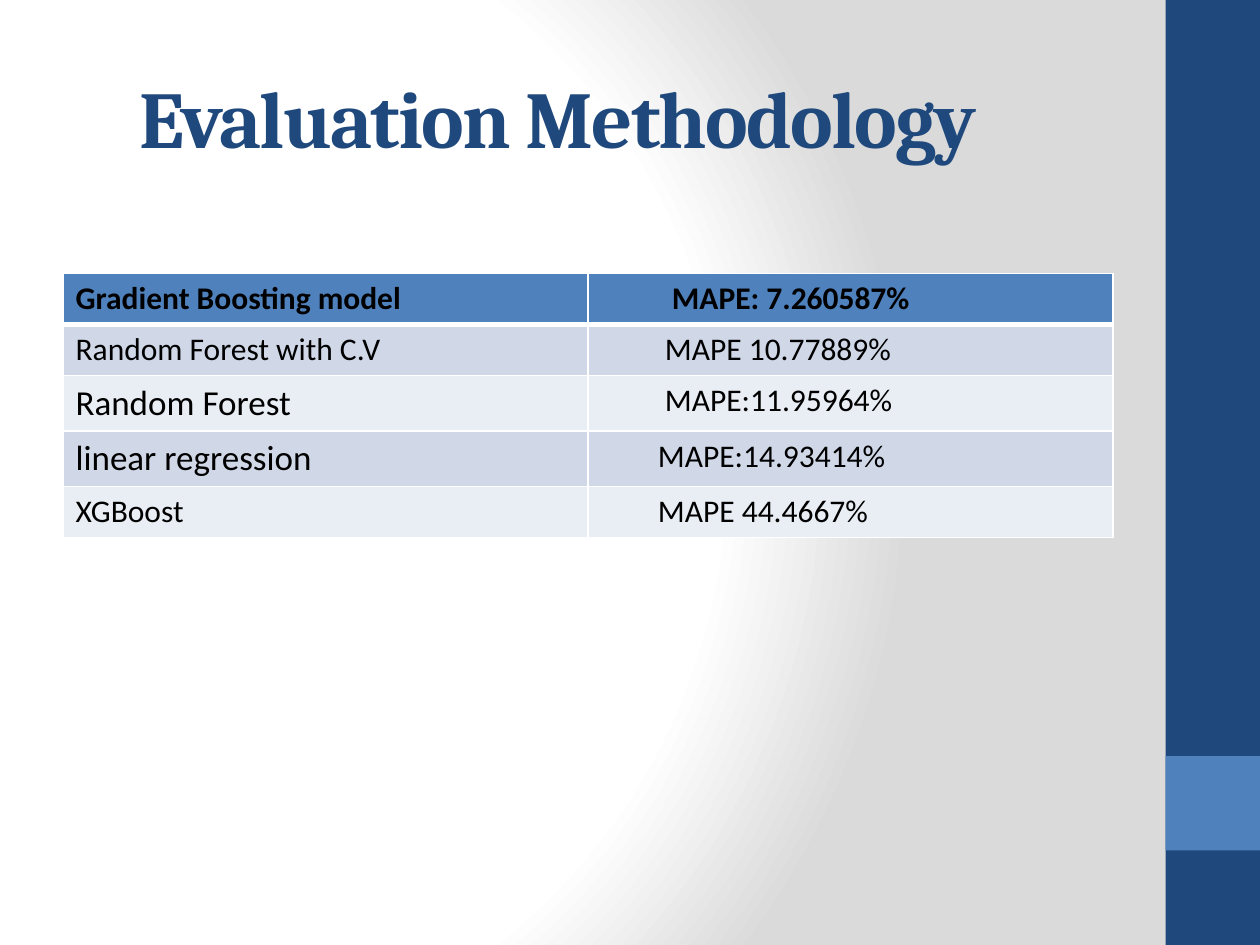
"""Build the Evaluation Methodology slide with its MAPE comparison table."""
from pptx import Presentation
from pptx.dml.color import RGBColor
from pptx.enum import shapes, text
from pptx.oxml import parse_xml
from pptx.oxml.ns import nsdecls, qn
from pptx.util import Pt

NAVY = RGBColor(0x1F, 0x49, 0x7D)
BLUE = RGBColor(0x4F, 0x81, 0xBD)
BAND_DARK = RGBColor(0xD0, 0xD8, 0xE8)
BAND_LIGHT = RGBColor(0xE9, 0xED, 0xF4)
BLACK = RGBColor(0, 0, 0)
WHITE = RGBColor(0xFF, 0xFF, 0xFF)
GREY = RGBColor(0xDA, 0xDA, 0xDA)


def add_border(cell, side, width):
    cell._tc.get_or_add_tcPr().append(parse_xml(
        f'<a:{side} {nsdecls("a")} w="{Pt(width)}"><a:solidFill>'
        f'<a:srgbClr val="{WHITE}"/></a:solidFill></a:{side}>'))


def add_run(paragraph, words, font_name, size, color, bold):
    run = paragraph.add_run()
    run.text = words
    run.font.name = font_name
    run.font.size = Pt(size)
    run.font.color.rgb = color
    run.font.bold = bold
    return run


prs = Presentation()
prs.slide_width, prs.slide_height = Pt(720), Pt(540)
slide = prs.slides.add_slide(prs.slide_layouts[5])

slide.background.fill.solid()
plain_fill = slide.element.find(".//" + qn("a:solidFill"))
stops = "".join(
    f'<a:gs pos="{position * 1000}"><a:srgbClr val="{color}"/></a:gs>'
    for position, color in [(0, WHITE), (75, WHITE), (100, GREY)])
plain_fill.getparent().replace(plain_fill, parse_xml(
    f'<a:gradFill {nsdecls("a")} rotWithShape="1"><a:gsLst>{stops}</a:gsLst>'
    '<a:path path="circle"><a:fillToRect l="20000" t="50000" r="100000" b="50000"/>'
    '</a:path></a:gradFill>'))

for top, height, color in [(0, 540, NAVY), (432, 54, BLUE)]:
    side_bar = slide.shapes.add_shape(
        shapes.MSO_SHAPE.RECTANGLE, Pt(666), Pt(top), Pt(54), Pt(height))
    side_bar.fill.solid()
    side_bar.fill.fore_color.rgb = color
    side_bar.line.fill.background()
    side_bar.shadow.inherit = False

heading = slide.shapes.title
heading.left, heading.top, heading.width, heading.height = Pt(36), Pt(21.6), Pt(600), Pt(90)
heading_frame = heading.text_frame
heading_frame.auto_size = text.MSO_AUTO_SIZE.NONE
heading_frame.vertical_anchor = text.MSO_ANCHOR.MIDDLE
heading_frame.margin_left = Pt(43.7)
heading_line = heading_frame.paragraphs[0]
heading_line.alignment = text.PP_ALIGN.LEFT
heading_run = add_run(heading_line, "Evaluation Methodology", "Cambria", 46, NAVY, True)
heading_run.font._element.set("spc", "-100")

scores = [
    ("Gradient Boosting model", 18, "MAPE: 7.260587%", 48),
    ("Random Forest with C.V", 18, "MAPE 10.77889%", 44),
    ("Random Forest", 20, "MAPE:11.95964%", 44),
    ("linear regression", 20, "MAPE:14.93414%", 40),
    ("XGBoost", 18, "MAPE 44.4667%", 40),
]
score_table = slide.shapes.add_table(
    len(scores), 2, Pt(36), Pt(156.2), Pt(600), Pt(29.2 * len(scores))).table
for row, (model, model_size, mape, indent) in enumerate(scores):
    is_best = row == 0
    band = BLUE if is_best else (BAND_LIGHT, BAND_DARK)[row % 2]
    for column, (words, size, margin) in enumerate(
            [(model, model_size, 7.2), (mape, 18, indent)]):
        cell = score_table.cell(row, column)
        cell.margin_left = Pt(margin)
        add_run(cell.text_frame.paragraphs[0], words, "Calibri", size, BLACK, is_best)
        for side in ("lnL", "lnR", "lnT", "lnB"):
            heavy = (row, side) in [(0, "lnB"), (1, "lnT")]
            add_border(cell, side, 3 if heavy else 1)
        cell.fill.solid()
        cell.fill.fore_color.rgb = band

prs.save("out.pptx")
